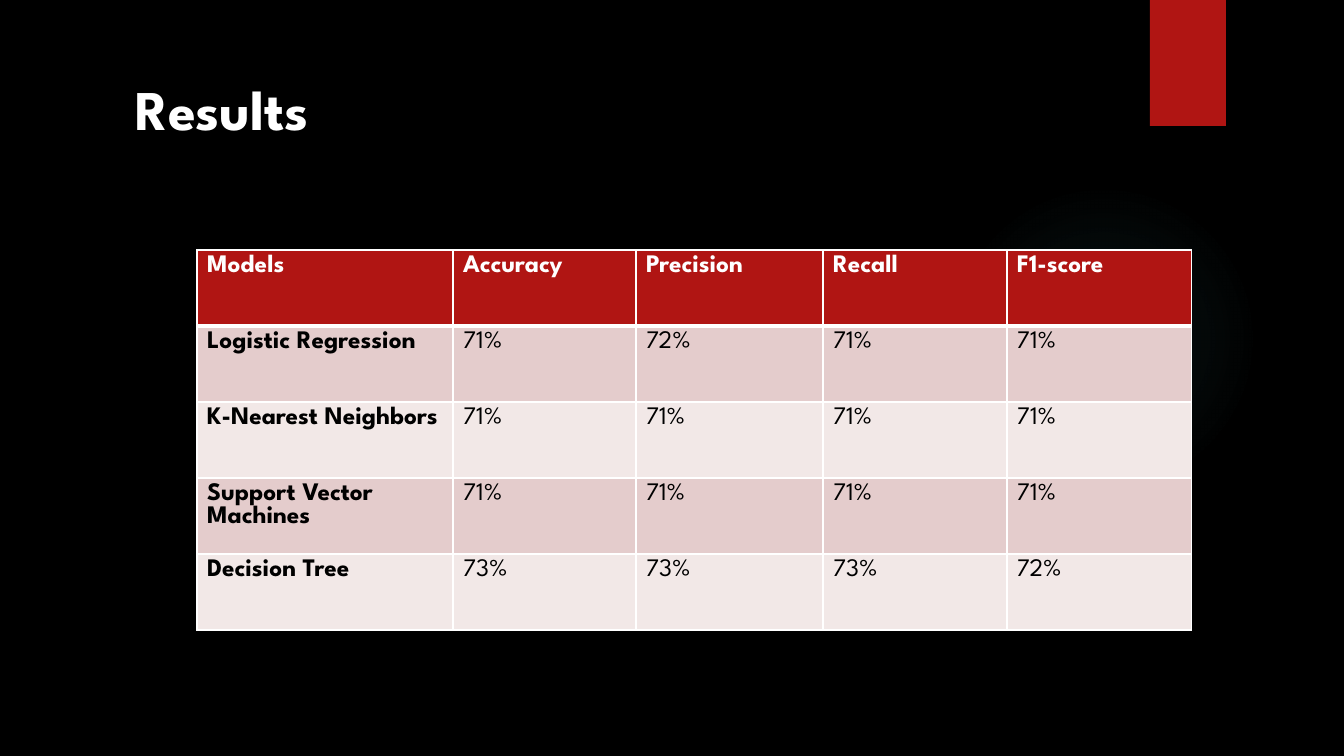
from dataclasses import dataclass

from lxml.etree import SubElement
from pptx import Presentation
from pptx.dml.color import RGBColor
from pptx.enum.shapes import MSO_SHAPE as Shape
from pptx.enum.text import MSO_ANCHOR as Anchor, PP_ALIGN as Align
from pptx.oxml import parse_xml
from pptx.oxml.ns import nsdecls, qn
from pptx.util import Emu, Pt

SLIDE_WIDTH, SLIDE_HEIGHT = 1344, 756
EMU_PER_PX = 12192000 / SLIDE_WIDTH
FONT = "League Spartan"
COLORS = {
    "black": "000000",
    "white": "FFFFFF",
    "red": "B01513",
    "glow": "50B9C1",
    "dark band": "E4CCCC",
    "light band": "F2E8E7",
}


@dataclass
class Box:
    left: int
    top: int
    width: int
    height: int

    def emu(self) -> tuple[Emu, ...]:
        return tuple(map(px, (self.left, self.top, self.width, self.height)))


@dataclass
class Model:
    name: str
    scores: tuple[int, ...]

    def texts(self) -> list[str]:
        return [self.name, *(f"{score}%" for score in self.scores)]


TITLE_BOX = Box(125, 69, 733, 78)
GLOW_BOX = Box(949, 184, 310, 310)
TAB_BOX = Box(1150, 0, 76, 126)
TABLE_BOX = Box(197, 250, 995, 380)
COLUMN_WIDTHS = (256, 183, 187, 184, 185)
GLOW_STOPS = ((0, 7), (36, 6), (69, 0))  # position and opacity, percent
HEADER = ["Models", "Accuracy", "Precision", "Recall", "F1-score"]
MODELS = [
    Model("Logistic Regression", (71, 72, 71, 71)),
    Model("K-Nearest Neighbors", (71, 71, 71, 71)),
    Model("Support Vector Machines", (71, 71, 71, 71)),
    Model("Decision Tree", (73, 73, 73, 72)),
]


def px(length: int) -> Emu:
    return Emu(round(length * EMU_PER_PX))


def rgb(name: str) -> RGBColor:
    return RGBColor.from_string(COLORS[name])


def write(frame, text: str, *, size: int, color: str, bold: bool) -> None:
    para = frame.paragraphs[0]
    para.alignment = Align.LEFT
    span = para.add_run()
    span.text = text
    span.font.name = FONT
    span.font.size = Pt(size)
    span.font.bold = bold
    span.font.color.rgb = rgb(color)


def add_plain_shape(page, kind: Shape, box: Box):
    shape = page.shapes.add_shape(kind, *box.emu())
    shape.shadow.inherit = False
    shape.line.fill.background()
    return shape


def fill_glow(shape, color: str) -> None:
    stops = "".join(
        f'<a:gs pos="{position * 1000}"><a:srgbClr val="{COLORS[color]}">'
        f'<a:alpha val="{opacity * 1000}"/></a:srgbClr></a:gs>'
        for position, opacity in GLOW_STOPS
    )
    gradient = parse_xml(
        f'<a:gradFill {nsdecls("a")} rotWithShape="1"><a:gsLst>{stops}</a:gsLst>'
        '<a:path path="circle"><a:fillToRect l="50000" t="50000" r="50000" b="50000"/>'
        "</a:path></a:gradFill>"
    )
    shape.element.spPr.find(qn("a:prstGeom")).addnext(gradient)


def set_borders(cell, *, top: int, bottom: int) -> None:
    widths = {"lnL": 1, "lnR": 1, "lnT": top, "lnB": bottom}
    for side, width in widths.items():
        line = SubElement(cell._tc.get_or_add_tcPr(), qn(f"a:{side}"), w=str(Pt(width)))
        fill = SubElement(line, qn("a:solidFill"))
        SubElement(fill, qn("a:srgbClr"), val=COLORS["white"])


def add_results_table(page) -> None:
    rows = [HEADER, *(model.texts() for model in MODELS)]
    table = page.shapes.add_table(len(rows), len(HEADER), *TABLE_BOX.emu()).table
    for column, width in zip(table.columns, COLUMN_WIDTHS):
        column.width = px(width)
    for r, texts in enumerate(rows):
        is_header = r == 0
        band = "red" if is_header else "dark band" if r % 2 else "light band"
        table.rows[r].height = px(TABLE_BOX.height // len(rows))
        for c, text in enumerate(texts):
            cell = table.cell(r, c)
            set_borders(cell, top=3 if r == 1 else 1, bottom=3 if is_header else 1)
            cell.fill.solid()
            cell.fill.fore_color.rgb = rgb(band)
            write(cell.text_frame, text, size=18,
                  color="white" if is_header else "black", bold=is_header or c == 0)


def main() -> None:
    deck = Presentation()
    deck.slide_width, deck.slide_height = px(SLIDE_WIDTH), px(SLIDE_HEIGHT)
    page = deck.slides.add_slide(deck.slide_layouts[5])
    page.background.fill.solid()
    page.background.fill.fore_color.rgb = rgb("black")

    # Backdrop
    fill_glow(add_plain_shape(page, Shape.OVAL, GLOW_BOX), "glow")
    tab = add_plain_shape(page, Shape.RECTANGLE, TAB_BOX)
    tab.fill.solid()
    tab.fill.fore_color.rgb = rgb("red")

    # Title
    title = page.shapes.title
    title.left, title.top, title.width, title.height = TITLE_BOX.emu()
    title.text_frame.vertical_anchor = Anchor.BOTTOM
    write(title.text_frame, "Results", size=40, color="white", bold=True)

    # Scores of each model
    add_results_table(page)
    deck.save("out.pptx")


if __name__ == "__main__":
    main()
